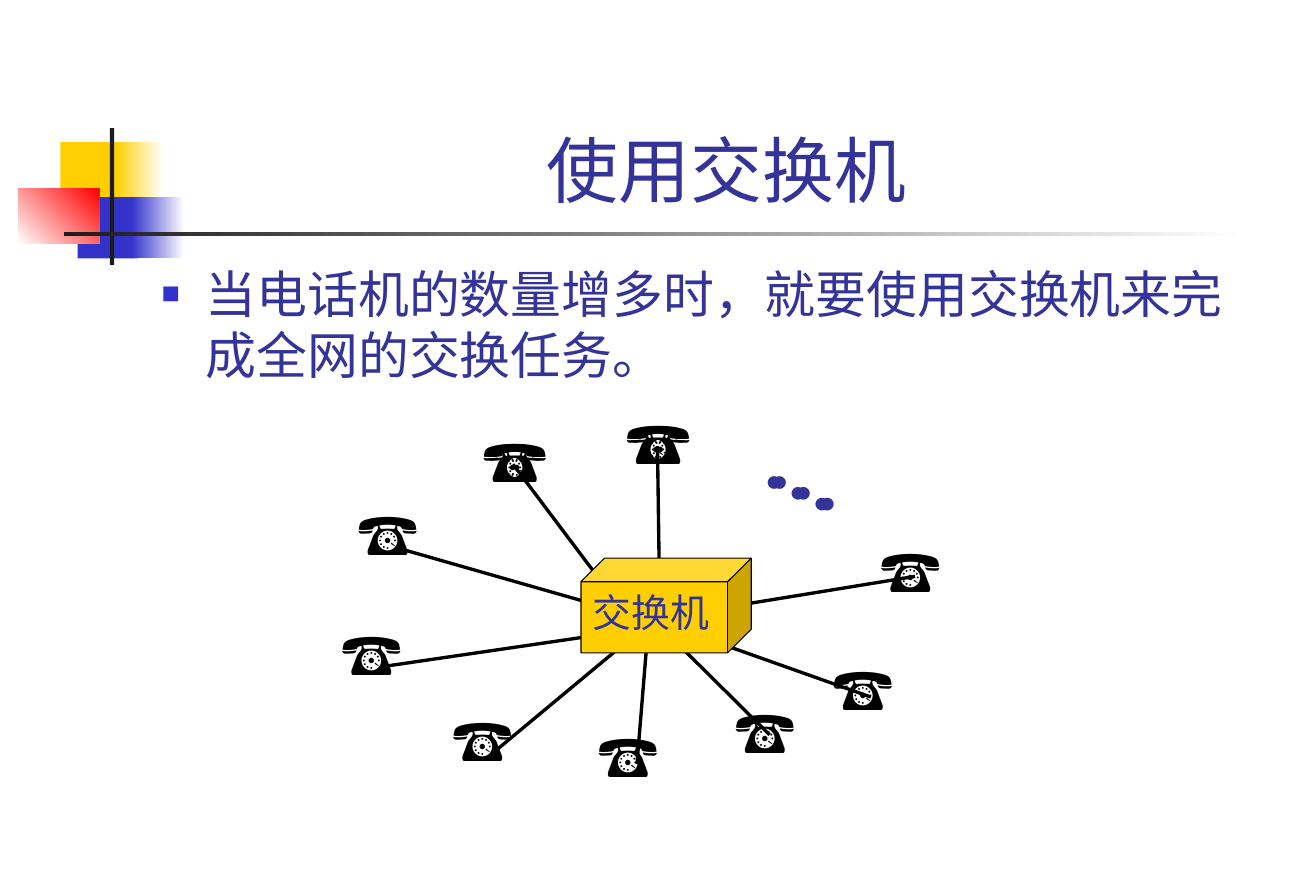
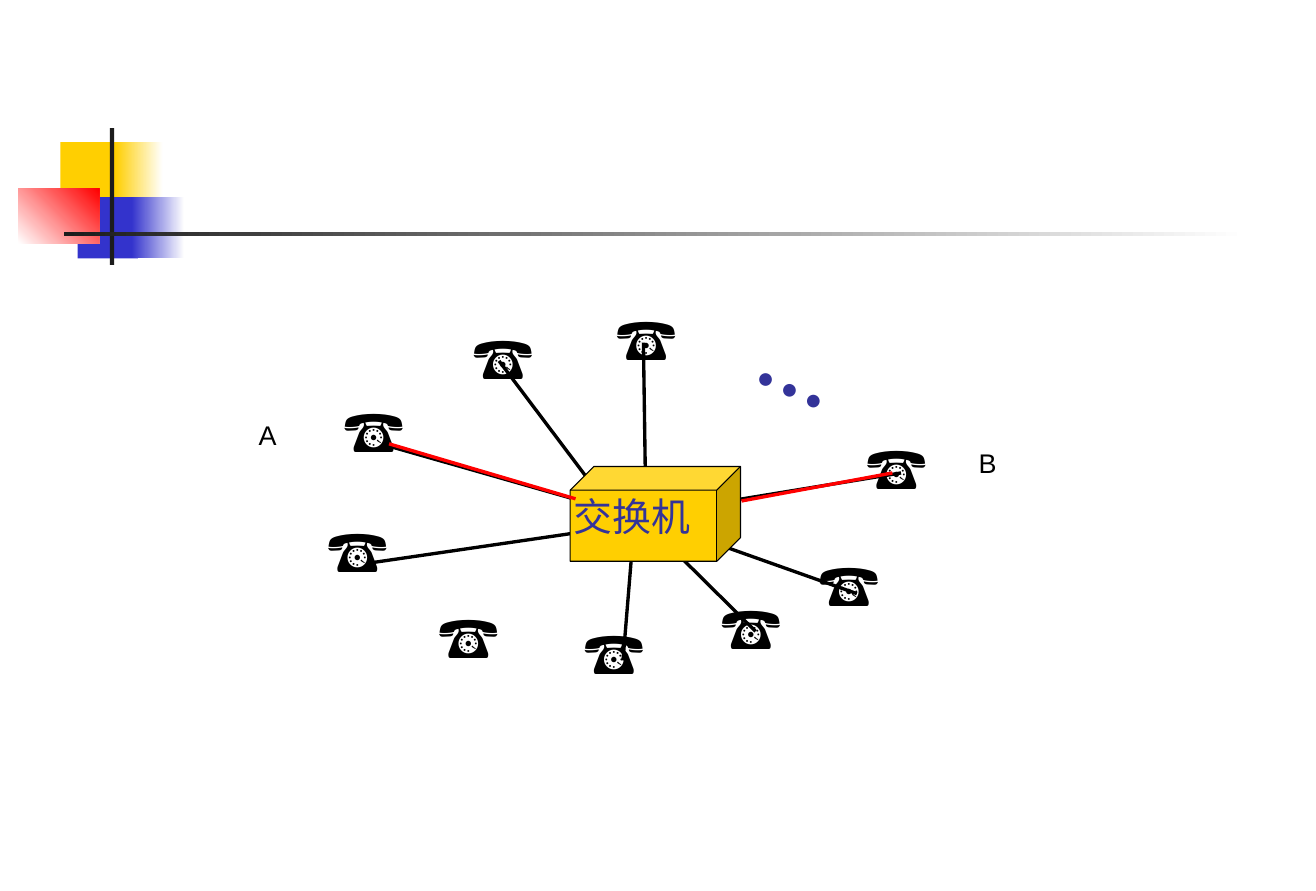
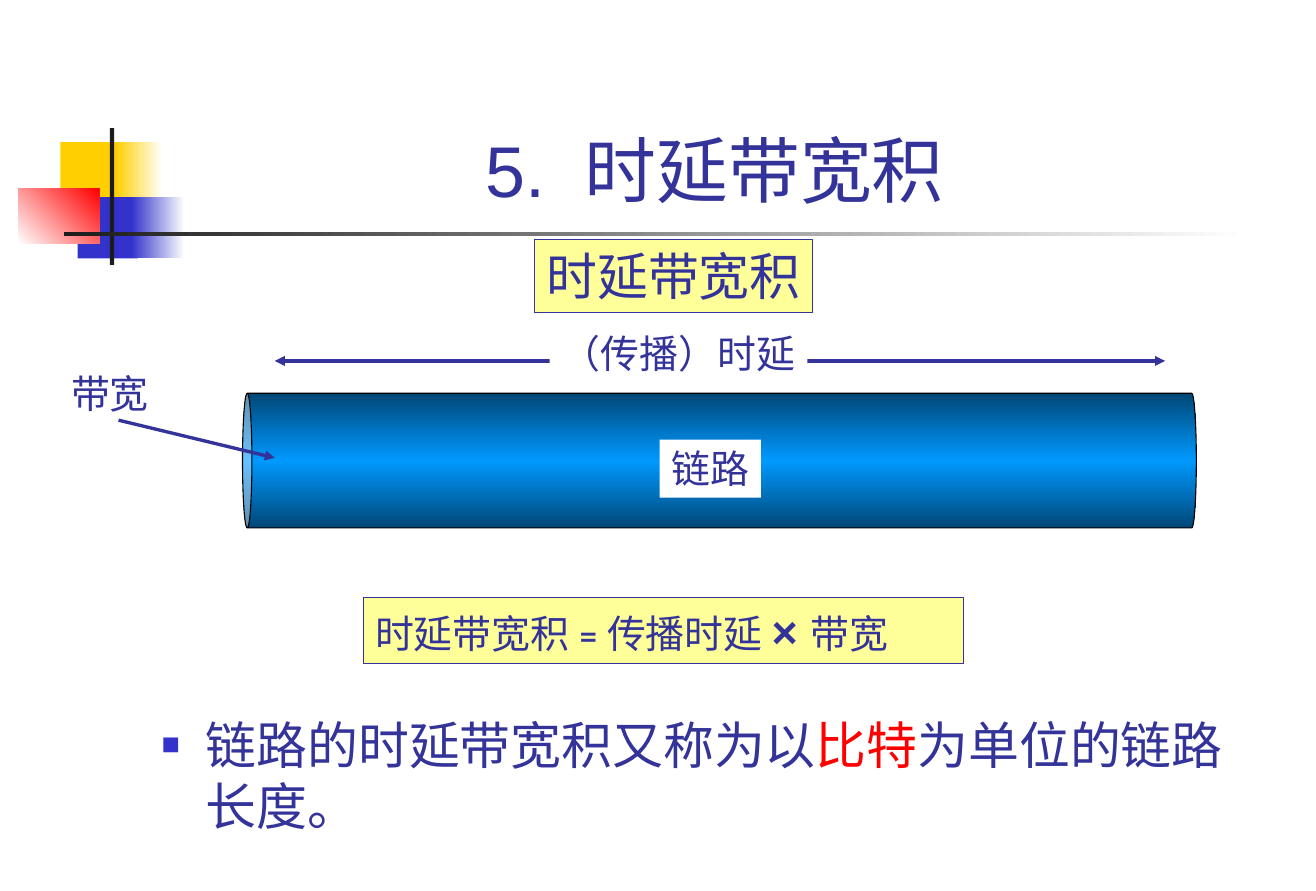
from dataclasses import dataclass
from typing import NamedTuple, Optional, Sequence

from pptx import Presentation
from pptx import util as u
from pptx.dml.color import RGBColor
from pptx.enum import shapes, text
from pptx.oxml import ns, xmlchemy

# The grid has square cells, ten to the inch
CELL = u.Inches(0.1)
COLUMNS, ROWS = 122.1, 82.7


@dataclass(frozen=True)
class Theme:
    ink: str = "333399"
    black: str = "000000"
    white: str = "FFFFFF"
    red: str = "FF0000"
    yellow: str = "FFCF01"
    blue: str = "3333CC"
    bar: str = "1C1C1C"
    note: str = "FFFF99"
    pipe_edge: str = "004776"
    pipe_core: str = "0099FF"
    sans: str = "Arial"
    serif: str = "Times New Roman"
    caption: str = "Cabin"
    title_size: float = 48
    body_size: float = 34
    label_size: float = 26
    times_size: float = 30
    mark_size: float = 18
    phone_size: float = 39
    dots_size: float = 52
    thin: float = 0.75
    thick: float = 2.25


THEME = Theme()


class Box(NamedTuple):
    col: float
    row: float
    cols: float
    rows: float

    def moved(self, cols: float, rows: float) -> "Box":
        return Box(self.col + cols, self.row + rows, self.cols, self.rows)

    def emu(self) -> list[int]:
        return [cells(n) for n in self]


class Wire(NamedTuple):
    col1: float
    row1: float
    col2: float
    row2: float

    def moved(self, cols: float, rows: float) -> "Wire":
        return Wire(self.col1 + cols, self.row1 + rows, self.col2 + cols, self.row2 + rows)


class Piece(NamedTuple):
    """A stretch of text in one format."""
    words: str
    size: float
    font: str = THEME.sans
    color: str = THEME.ink
    bold: bool = False
    tracking: float = 0


class Block(NamedTuple):
    """A rectangle of the corner ornament, plain or fading."""
    box: Box
    colors: Sequence[str]
    angle: int = 0


def cells(count: float) -> int:
    return round(count * CELL)


def rgb(color: str) -> RGBColor:
    return RGBColor.from_string(color)


def element(tag: str, *children, **attributes):
    """Build one drawing element with its children and attributes."""
    node = xmlchemy.OxmlElement(f"a:{tag}")
    for key, value in attributes.items():
        node.set(key, str(value))
    for child in children:
        node.append(child)
    return node


# Fills, lines and text

def paint(shape, colors: Sequence[str], angle: int = 0) -> None:
    shape.fill.solid()
    shape.fill.fore_color.rgb = rgb(colors[0])
    if len(colors) == 1:
        return
    step = 100000 // (len(colors) - 1)
    stops = [element("gs", element("srgbClr", val=color), pos=i * step)
             for i, color in enumerate(colors)]
    gradient = element("gradFill", element("gsLst", *stops),
                       element("lin", ang=angle * 60000, scaled=0), rotWithShape=0)
    properties = shape.element.spPr
    properties.replace(properties.find(ns.qn("a:solidFill")), gradient)


def outline(shape, color: Optional[str]) -> None:
    if color:
        shape.line.color.rgb = rgb(color)
        shape.line.width = u.Pt(THEME.thin)
    else:
        shape.line.fill.background()


def add_solid(slide, kind, box: Box, colors: Sequence[str], angle: int = 0,
              border: Optional[str] = None):
    solid = slide.shapes.add_shape(kind, *box.emu())
    solid.shadow.inherit = False
    paint(solid, colors, angle)
    outline(solid, border)
    return solid


def write(frame, pieces: Sequence[Piece]):
    """Fill the frame's first paragraph and format its runs."""
    frame.margin_left = frame.margin_right = cells(1.1)
    frame.margin_top = frame.margin_bottom = cells(0.5)
    paragraph = frame.paragraphs[0]
    paragraph.text = pieces[0].words
    for piece in pieces[1:]:
        paragraph.add_run().text = piece.words
    for run, piece in zip(paragraph.runs, pieces):
        run.font.name = piece.font
        run.font.size = u.Pt(piece.size)
        run.font.bold = piece.bold
        run.font.color.rgb = rgb(piece.color)
        if piece.tracking:
            run.font._element.set("spc", str(round(piece.tracking * 100)))
    return paragraph


def add_label(slide, box: Box, *pieces: Piece, fill: Optional[str] = None,
              border: Optional[str] = None, wrap: bool = False):
    label = slide.shapes.add_textbox(*box.emu())
    write(label.text_frame, pieces)
    # Spare room on the right keeps a tight label on one line
    label.text_frame.margin_right = cells(0.3)
    label.text_frame.word_wrap = wrap
    label.text_frame.auto_size = text.MSO_AUTO_SIZE.SHAPE_TO_FIT_TEXT
    if fill:
        paint(label, [fill])
    outline(label, border)
    return label


def add_wire(slide, wire: Wire, color: str = THEME.black, ends: Sequence[str] = ()) -> None:
    line = slide.shapes.add_connector(shapes.MSO_CONNECTOR.STRAIGHT, *map(cells, wire))
    line.line.color.rgb = rgb(color)
    line.line.width = u.Pt(THEME.thick)
    properties = line.element.spPr
    for end in ends:
        properties.get_or_add_ln().append(element(end, type="triangle"))
    properties.append(element("effectLst"))


# Placeholders

def place(holder, box: Box, pieces: Sequence[Piece], anchor):
    holder.left, holder.top, holder.width, holder.height = box.emu()
    frame = holder.text_frame
    frame.word_wrap = True
    frame.auto_size = text.MSO_AUTO_SIZE.NONE
    frame.vertical_anchor = anchor
    return write(frame, pieces)


def set_title(slide, box: Box, *pieces: Piece) -> None:
    paragraph = place(slide.shapes.title, box, pieces, text.MSO_ANCHOR.BOTTOM)
    paragraph.alignment = text.PP_ALIGN.CENTER


def set_body(slide, box: Box, *pieces: Piece) -> None:
    paragraph = place(slide.placeholders[1], box, pieces, text.MSO_ANCHOR.TOP)
    properties = paragraph._p.get_or_add_pPr()
    properties.set("marL", str(cells(4.1)))
    properties.set("indent", str(cells(-4.1)))
    properties.append(element("buClr", element("srgbClr", val=THEME.blue)))
    properties.append(element("buSzPct", val=60000))
    properties.append(element("buFont", typeface=THEME.sans))
    properties.append(element("buChar", char="■"))
    paragraph.space_before = u.Pt(0)


# Ornament shared by all slides

ORNAMENT = [
    Block(Box(5.6, 13.2, 5.9, 5.7), [THEME.yellow]),
    Block(Box(10.7, 13.2, 4.4, 5.7), [THEME.yellow, THEME.white]),
    Block(Box(7.2, 18.3, 5.6, 5.7), [THEME.blue]),
    Block(Box(12.2, 18.3, 4.9, 5.7), [THEME.blue, THEME.white]),
    Block(Box(1.7, 17.5, 7.5, 5.1), [THEME.white, THEME.red], 315),
    Block(Box(10.2, 11.9, 0.4, 12.7), [THEME.bar]),
    Block(Box(5.9, 21.5, 109.8, 0.4), [THEME.bar, THEME.white]),
]


def decorate_master(deck, slide) -> None:
    """Draw the ornament once and hand it to the master, behind its placeholders."""
    tree = deck.slide_master.shapes.element
    for depth, block in enumerate(ORNAMENT, start=2):
        solid = add_solid(slide, shapes.MSO_SHAPE.RECTANGLE, block.box, block.colors, block.angle)
        tree.insert(depth, solid.element)


# Telephone exchange

WIRES = [
    Wire(80.8, 64.7, 63.9, 58.7), Wire(59.1, 70.9, 60.1, 58.7),
    Wire(36, 61.8, 57.2, 58.7), Wire(47.6, 43.1, 55.8, 54),
    Wire(61.2, 55.3, 61, 41.4), Wire(65.9, 56.6, 84.9, 53.5),
    Wire(37, 50.9, 56.6, 56.5), Wire(71.4, 68.2, 60.1, 57),
]
LOWER_LEFT_WIRE = Wire(45.6, 70, 58.1, 59.6)
PHONES = [(57.4, 37.2), (32.1, 45.7), (40.9, 64.8), (80.6, 49.1), (67.1, 64),
          (30.6, 56.8), (44.1, 38.9), (54.4, 66.3), (76.2, 60)]
DOUBLED_PHONES = [(57, 37.2), (43.7, 38.9)]
DOTS = Box(70.8, 38.8, 9.4, 9.8)
DOUBLED_DOTS = DOTS.moved(-0.5, 0)


def draw_exchange(slide, wires: Sequence[Wire], phones: Sequence[tuple[float, float]],
                  dots: Sequence[Box], switch: Box, switch_label: Box,
                  shift: tuple[float, float] = (0, 0)) -> None:
    for wire in wires:
        add_wire(slide, wire.moved(*shift))
    for col, row in phones:
        add_label(slide, Box(col, row, 9.2, 7.6).moved(*shift),
                  Piece("☎", THEME.phone_size, color=THEME.black))
    for box in dots:
        ellipsis = add_label(slide, box.moved(*shift),
                             Piece("…", THEME.dots_size, THEME.serif, bold=True))
        ellipsis.rotation = 24.3
    cube = add_solid(slide, shapes.MSO_SHAPE.CUBE, switch, [THEME.yellow], border=THEME.black)
    cube.adjustments[0] = 0.25
    add_label(slide, switch_label, Piece("交换机", THEME.label_size, THEME.serif))


def fill_exchange_slide(slide) -> None:
    set_title(slide, Box(15.4, 2.6, 104, 17.6), Piece("使用交换机", THEME.title_size))
    set_body(slide, Box(13.9, 23.9, 103.7, 49.6),
             Piece("当电话机的数量增多时，就要使用交换机来完成全网的交换任务。", THEME.body_size))
    draw_exchange(slide, [*WIRES, LOWER_LEFT_WIRE], PHONES + DOUBLED_PHONES,
                  [DOUBLED_DOTS, DOTS], Box(53.9, 51.8, 15.8, 8.8), Box(53.9, 54.1, 13, 5.4))


def fill_call_slide(slide) -> None:
    draw_exchange(slide, WIRES, PHONES, [DOTS], Box(52.9, 43.3, 15.8, 8.8),
                  Box(52.1, 45.2, 13, 5.4), shift=(-1.3, -9.6))
    # The two callers and the path between them
    for name, col, row in (("A", 22.9, 38.4), ("B", 89.7, 41)):
        add_label(slide, Box(col, row, 12.2, 4),
                  Piece(name, THEME.mark_size, color=THEME.black), wrap=True)
    for path_half in (Wire(36.1, 41.2, 53.4, 46.3), Wire(68.8, 46.5, 82.8, 43.9)):
        add_wire(slide, path_half, THEME.red)


# Delay-bandwidth product

def fill_product_slide(slide) -> None:
    set_title(slide, Box(14.9, 2.6, 102.8, 17.6), Piece("5.", THEME.title_size),
              Piece(" ", THEME.title_size, tracking=13), Piece("时延带宽积", THEME.title_size))

    # Link drawn as a pipe, with its delay and bandwidth
    pipe = add_solid(slide, shapes.MSO_SHAPE.CAN, Box(60.5, -1.5, 12.5, 88.5),
                     [THEME.pipe_edge, THEME.pipe_core, THEME.pipe_edge], 90, THEME.black)
    pipe.adjustments[0] = 0.07
    pipe.rotation = 270
    add_wire(slide, Wire(25.5, 33.5, 108.1, 33.5), THEME.ink, ("headEnd", "tailEnd"))
    for words, box in (("（传播）时延", Box(51, 30.1, 23.9, 5.4)),
                       ("链路", Box(61.2, 40.8, 9.4, 5.4)),
                       ("带宽", Box(5.5, 33.8, 9.4, 5.4))):
        add_label(slide, box, Piece(words, THEME.label_size, THEME.caption), fill=THEME.white)
    add_wire(slide, Wire(11, 39, 25.5, 42.5), THEME.ink, ("tailEnd",))

    # Formula and its name
    add_label(slide, Box(33.7, 55.5, 55.7, 6.1),
              Piece("时延带宽积 = 传播时延 ", THEME.label_size, THEME.caption),
              Piece("× ", THEME.times_size, bold=True),
              Piece("带宽", THEME.label_size, THEME.caption),
              fill=THEME.note, border=THEME.ink)
    add_label(slide, Box(49.6, 22.2, 25.8, 6.8),
              Piece("时延带宽积", THEME.body_size, THEME.caption),
              fill=THEME.note, border=THEME.ink)

    set_body(slide, Box(13.9, 65.7, 103.7, 13.9),
             Piece("链路的时延带宽积又称为以", THEME.body_size),
             Piece("比特", THEME.body_size, color=THEME.red),
             Piece("为单位的链路长度。", THEME.body_size))


def main() -> None:
    deck = Presentation()
    deck.slide_width, deck.slide_height = cells(COLUMNS), cells(ROWS)
    title_and_body, blank = deck.slide_layouts[1], deck.slide_layouts[6]
    pages = [(title_and_body, fill_exchange_slide), (blank, fill_call_slide),
             (title_and_body, fill_product_slide)]
    for number, (layout, fill_page) in enumerate(pages):
        slide = deck.slides.add_slide(layout)
        if number == 0:
            decorate_master(deck, slide)
        fill_page(slide)
    deck.save("out.pptx")


if __name__ == "__main__":
    main()
